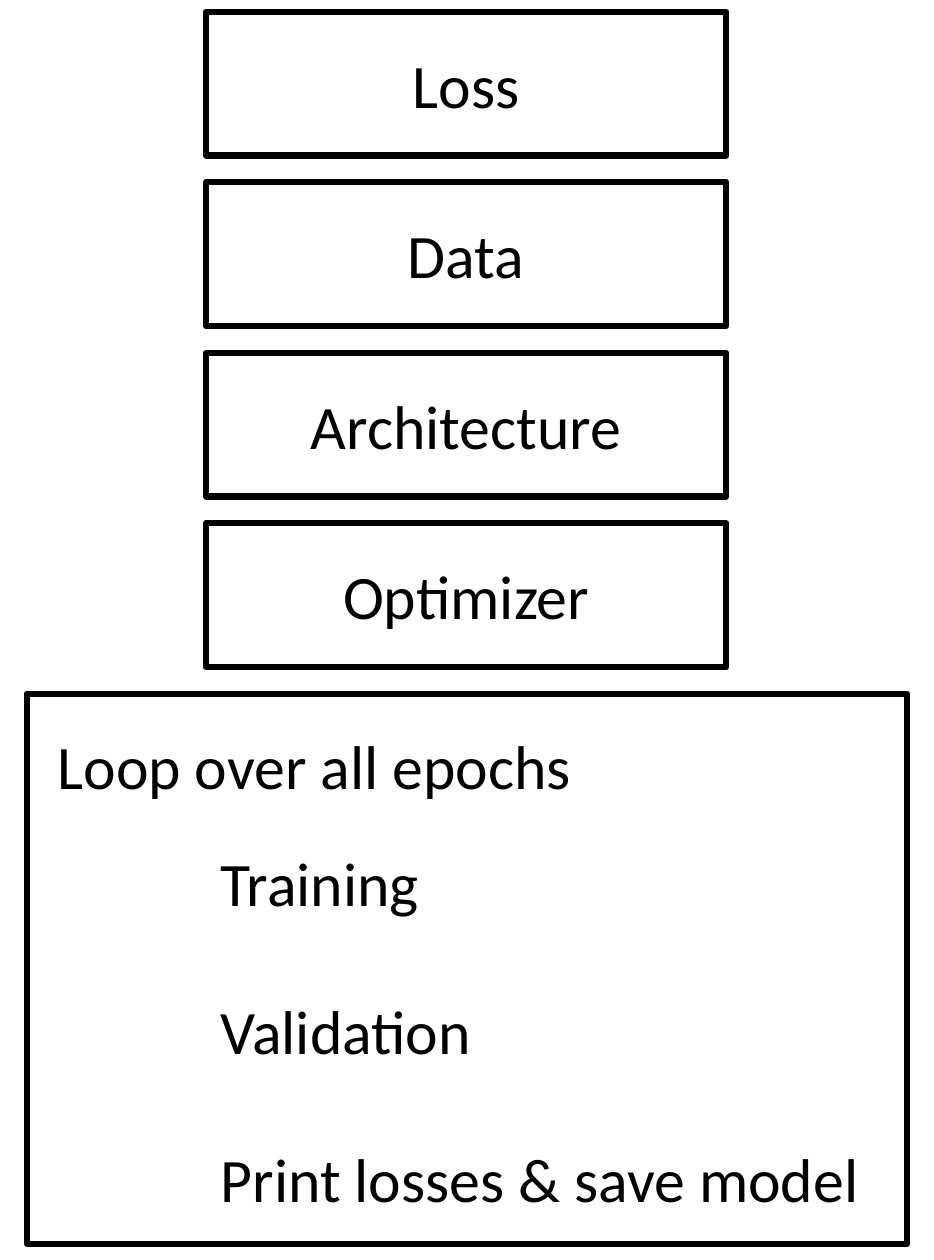
import pptx
import pptx.util
import pptx.dml.color
import pptx.enum.shapes
import pptx.enum.text

SETUP = ["Loss", "Data", "Architecture", "Optimizer"]
LOOP = ["Loop over all epochs"]
STEPS = ["Training", "Validation", "Print losses & save model"]

WIDTH, HEIGHT = 6.3, 8.5
TOP, PITCH = 0.08, 1.15
SETUP_LEFT, SETUP_WIDTH, SETUP_HEIGHT = 1.39, 3.51, 0.97
LOOP_LEFT, LOOP_WIDTH, LOOP_HEIGHT = 0.18, 5.94, 3.71
INK = "000000"
ALIGN = pptx.enum.text.PP_ALIGN
ANCHOR = pptx.enum.text.MSO_ANCHOR


def color(value):
    return pptx.dml.color.RGBColor.from_string(value)


def inches(*lengths):
    return [pptx.util.Inches(length) for length in lengths]


def write(holder, lines, align, anchor, gap=0):
    frame = holder.text_frame
    frame.word_wrap = True
    frame.vertical_anchor = anchor
    frame.text = "\n".join(lines)
    for index, paragraph in enumerate(frame.paragraphs):
        paragraph.alignment = align
        paragraph.space_before = pptx.util.Pt(gap if index else 0)
        paragraph.font.name = "Calibri"
        paragraph.font.size = pptx.util.Pt(30)
        paragraph.font.color.rgb = color(INK)


def add_frame(slide, *place):
    frame = slide.shapes.add_shape(
        pptx.enum.shapes.MSO_SHAPE.RECTANGLE, *inches(*place))
    frame.shadow.inherit = False
    frame.fill.background()
    frame.line.color.rgb = color(INK)
    frame.line.width = pptx.util.Pt(3)
    return frame


def main():
    deck = pptx.Presentation()
    deck.slide_width, deck.slide_height = inches(WIDTH, HEIGHT)
    slide = deck.slides.add_slide(deck.slide_layouts[6])

    for row, part in enumerate(SETUP):
        frame = add_frame(slide, SETUP_LEFT, TOP + row * PITCH,
                          SETUP_WIDTH, SETUP_HEIGHT)
        write(frame, [part], ALIGN.CENTER, ANCHOR.MIDDLE)

    loop_top = TOP + len(SETUP) * PITCH
    add_frame(slide, LOOP_LEFT, loop_top, LOOP_WIDTH, LOOP_HEIGHT)
    heading = slide.shapes.add_textbox(
        *inches(LOOP_LEFT + 0.11, loop_top + 0.18, 5.66, 0.61))
    write(heading, LOOP, ALIGN.LEFT, ANCHOR.TOP)
    steps = slide.shapes.add_textbox(
        *inches(SETUP_LEFT, loop_top + 0.97, 4.55, 2.63))
    write(steps, STEPS, ALIGN.LEFT, ANCHOR.TOP, gap=36)

    deck.save("out.pptx")


if __name__ == "__main__":
    main()
